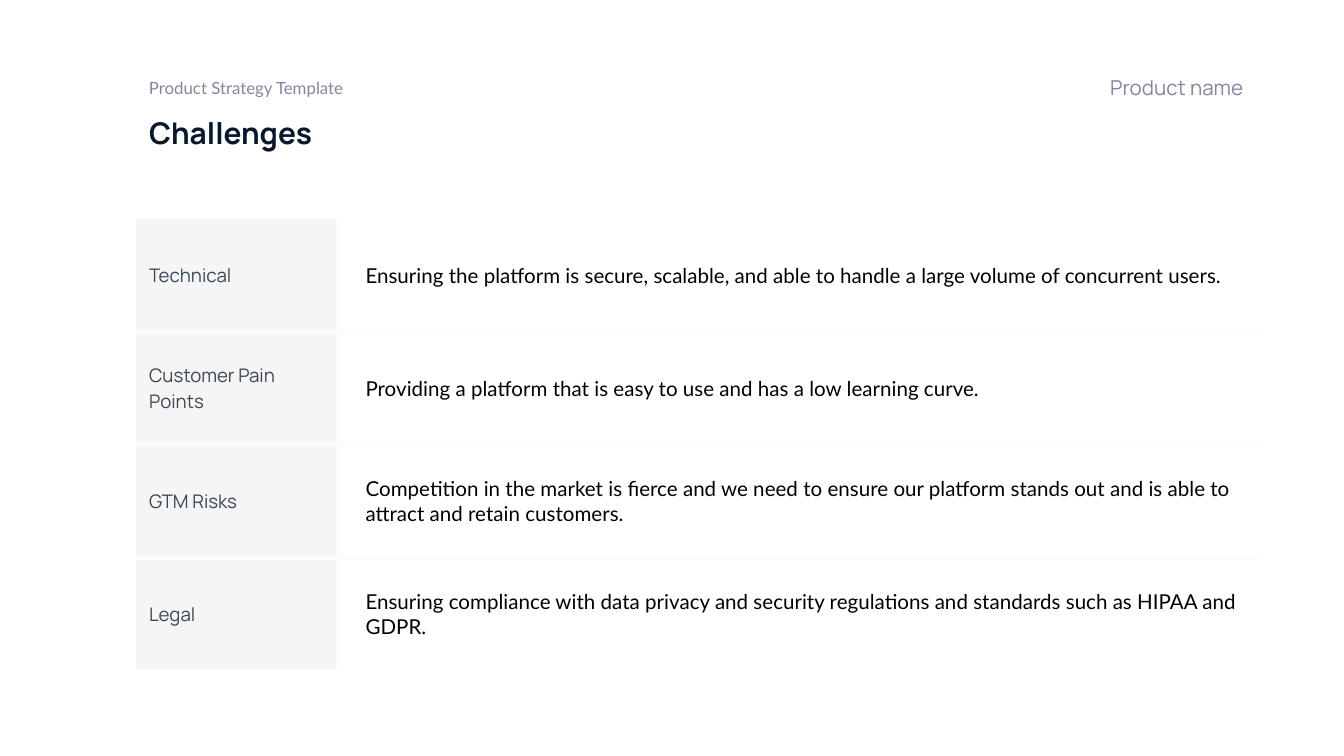
from lxml import etree
from pptx import Presentation
from pptx.dml.color import RGBColor
from pptx.enum import text as t
from pptx.oxml import ns
from pptx.util import Inches, Pt

NAVY = RGBColor(0x07, 0x18, 0x2C)
MUTED = RGBColor(0x85, 0x85, 0x9F)
SLATE = RGBColor(0x3C, 0x48, 0x56)
BLACK = RGBColor(0, 0, 0)
LABEL_FILL = RGBColor(0xF5, 0xF5, 0xF5)
BORDER = RGBColor(0xFC, 0xFC, 0xFC)

LEFT = 1.01
COLUMN_WIDTHS = (1.51, 6.83)
ROW_HEIGHT = 0.84
CHALLENGES = [
    ("Technical",
     "Ensuring the platform is secure, scalable, and able to handle a large "
     "volume of concurrent users."),
    ("Customer Pain Points",
     "Providing a platform that is easy to use and has a low learning curve."),
    ("GTM Risks",
     "Competition in the market is fierce and we need to ensure our platform "
     "stands out and is able to attract and retain customers."),
    ("Legal",
     "Ensuring compliance with data privacy and security regulations and "
     "standards such as HIPAA and GDPR."),
]


def write(frame, content, *, size, font, color, bold=False,
          align=t.PP_ALIGN.LEFT):
    paragraph = frame.paragraphs[0]
    paragraph.alignment = align
    run = paragraph.add_run()
    run.text = content
    run.font.size = Pt(size)
    run.font.name = font
    run.font.bold = bold
    run.font.color.rgb = color


def set_margins(target, left=0.1, bottom=0.1):
    target.margin_left = Inches(left)
    target.margin_top = target.margin_right = Inches(0.1)
    target.margin_bottom = Inches(bottom)


def prepare_frame(shape, box, anchor=t.MSO_ANCHOR.TOP, bottom=0.1):
    """Place a text shape and return its frame with fixed size and margins."""
    shape.left, shape.top, shape.width, shape.height = map(Inches, box)
    frame = shape.text_frame
    frame.word_wrap = True
    frame.auto_size = t.MSO_AUTO_SIZE.NONE
    frame.vertical_anchor = anchor
    set_margins(frame, bottom=bottom)
    return frame


def add_header(slide):
    title = prepare_frame(slide.shapes.title, (LEFT, 0.75, 3.6, 0.47))
    write(title, "Challenges", size=16, font="Manrope", color=NAVY, bold=True)

    product = prepare_frame(slide.shapes.add_textbox(0, 0, 0, 0),
                            (5.75, 0.46, 3.6, 0.33),
                            anchor=t.MSO_ANCHOR.BOTTOM, bottom=0.05)
    write(product, "Product name", size=11, font="Manrope", color=MUTED,
          align=t.PP_ALIGN.RIGHT)

    subtitle = prepare_frame(slide.shapes.add_textbox(0, 0, 0, 0),
                             (LEFT, 0.48, 1.72, 0.27))
    write(subtitle, "Product Strategy Template", size=9, font="Lato",
          color=MUTED)


def set_borders(cell, inner_edges):
    """Draw the inner edges of a cell and hide the outer ones."""
    properties = cell._tc.get_or_add_tcPr()
    for index, edge in enumerate("LRTB"):
        line = etree.Element(ns.qn(f"a:ln{edge}"), w=str(Pt(3)))
        if edge in inner_edges:
            fill = etree.SubElement(line, ns.qn("a:solidFill"))
            etree.SubElement(fill, ns.qn("a:srgbClr"), val=str(BORDER))
        else:
            etree.SubElement(line, ns.qn("a:noFill"))
        properties.insert(index, line)


def add_challenges_table(slide):
    row_count = len(CHALLENGES)
    table = slide.shapes.add_table(
        row_count, 2, Inches(LEFT), Inches(1.63),
        Inches(sum(COLUMN_WIDTHS)), Inches(ROW_HEIGHT * row_count)).table
    table.first_row = table.horz_banding = False
    for column, width in zip(table.columns, COLUMN_WIDTHS):
        column.width = Inches(width)

    for row, (label, description) in enumerate(CHALLENGES):
        table.rows[row].height = Inches(ROW_HEIGHT)
        label_cell, description_cell = table.rows[row].cells

        label_cell.fill.solid()
        label_cell.fill.fore_color.rgb = LABEL_FILL
        set_margins(label_cell)
        write(label_cell.text_frame, label, size=10, font="Manrope",
              color=SLATE)

        description_cell.fill.background()
        set_margins(description_cell, left=0.2)
        write(description_cell.text_frame, description, size=11, font="Lato",
              color=BLACK)

        row_edges = ("T" if row > 0 else "") + ("B" if row < row_count - 1 else "")
        for cell, side in ((label_cell, "R"), (description_cell, "L")):
            cell.vertical_anchor = t.MSO_ANCHOR.MIDDLE
            set_borders(cell, side + row_edges)


def main():
    presentation = Presentation()
    presentation.slide_width = Inches(10)
    presentation.slide_height = Inches(10) * 9 // 16
    title_only = presentation.slide_layouts[5]
    slide = presentation.slides.add_slide(title_only)
    add_header(slide)
    add_challenges_table(slide)
    presentation.save("out.pptx")


if __name__ == "__main__":
    main()
